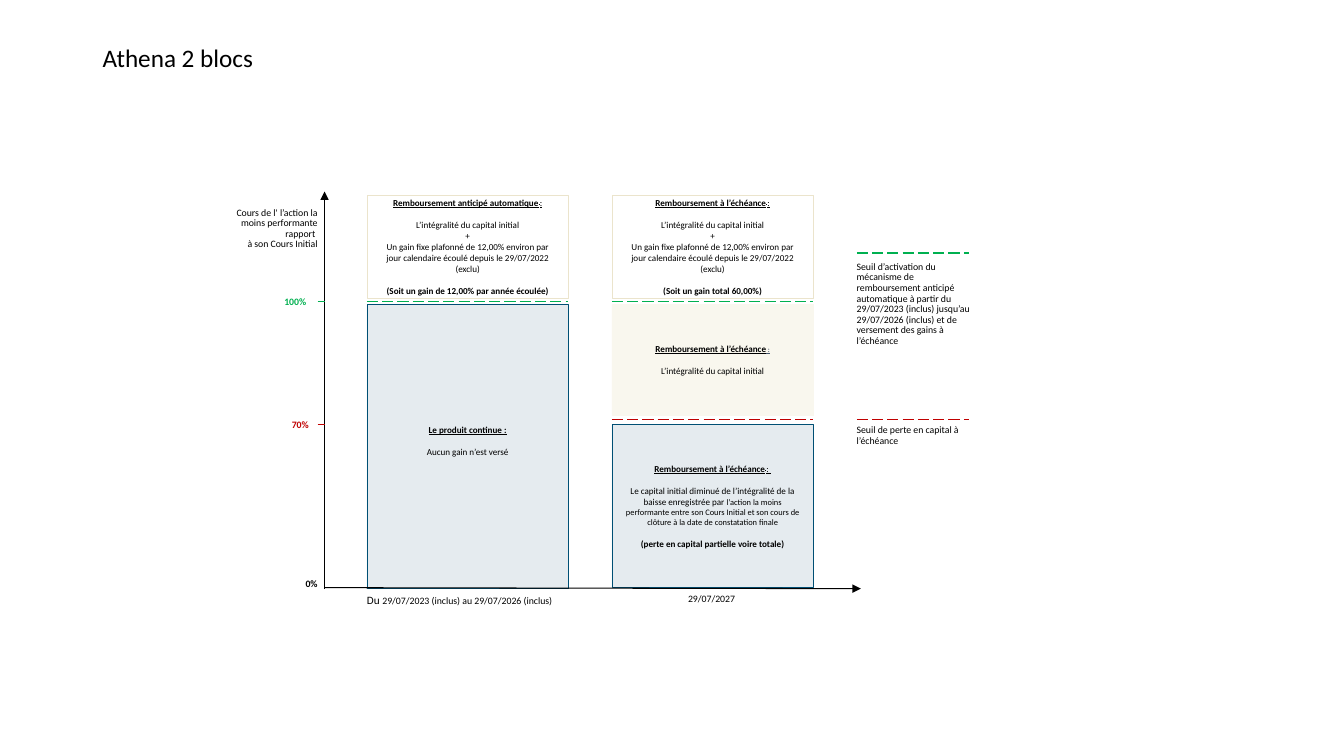
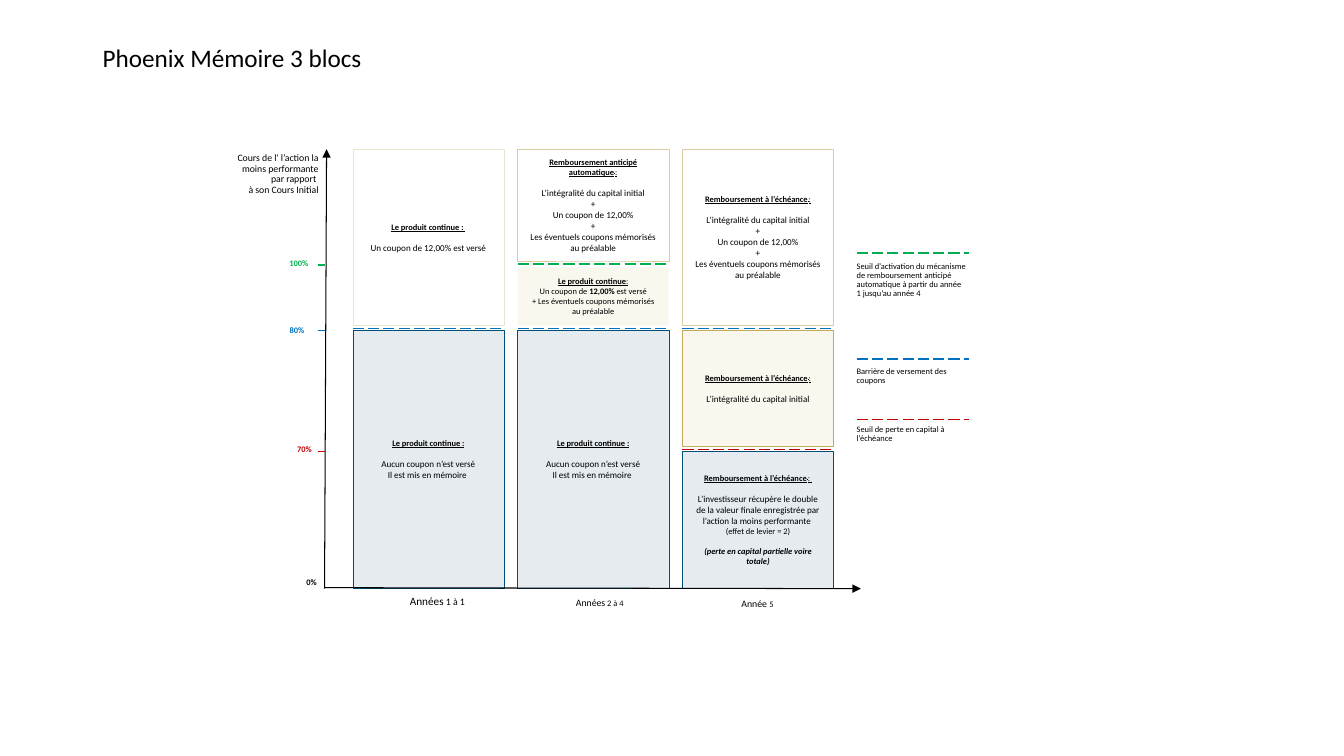
import lxml.etree
import pptx
import pptx.dml.color
import pptx.enum.dml
import pptx.enum.shapes
import pptx.enum.text
import pptx.oxml.ns
import pptx.util

BLACK, RED, GREEN, BLUE = "000000", "C00000", "00B050", "0070C0"
NAVY, MIST, CREAM, WHITE = "004F74", "E5EBEF", "F9F7EE", "FFFFFF"
SAND, KHAKI, OCHRE, SLATE = "EBE4CC", "D9CD9F", "C0AA5C", "44546A"
FONT = "Calibri"
ALIGN = {"l": pptx.enum.text.PP_ALIGN.LEFT, "c": pptx.enum.text.PP_ALIGN.CENTER,
         "r": pptx.enum.text.PP_ALIGN.RIGHT}
TIGHT = (0, 0.5, 0, 0.5)
ROOMY = (1.2, 0.5, 1.2, 0.5)
NORMAL = (1, 0.5, 1, 0.5)


def cells(n):
    """Length of n grid cells; the slide is 133.33 columns by 75 rows."""
    return pptx.util.Inches(n / 10)


def color(hex_code):
    return pptx.dml.color.RGBColor.from_string(hex_code)


def add_run(p, text, size=6.5, ink=BLACK, bold=False, italic=False, underline=False, raised=False):
    r = p.add_run()
    r.text = text
    f = r.font
    f.name, f.size, f.color.rgb = FONT, pptx.util.Pt(size), color(ink)
    f.bold, f.italic, f.underline = bold, italic, underline
    if raised:
        r._r.get_or_add_rPr().set("baseline", "30000")


def para(*runs, gap=0, **fmt):
    """Paragraph of texts or (text, format) pairs; fmt applies to all, gap is points before."""
    pairs = [(r, {}) if isinstance(r, str) else r for r in runs]
    return [(text, {**fmt, **own}) for text, own in pairs], gap


def heading(text, size=6.5, end=""):
    """Underlined bold heading followed by a light colon."""
    return para((text, {"bold": True}), (" ", {"raised": True}), ":",
                (end, {"bold": True}), size=size, underline=True)


def plain_heading(text, size=6.5):
    return para(text, size=size, bold=True, underline=True)


def spaced(*groups, size=6.5):
    """Joins groups of paragraphs, leaving one empty line's height between them."""
    out = list(groups[0])
    for (runs, _), *rest in groups[1:]:
        out += [(runs, size * 1.22), *rest]
    return out


class Deck:
    def __init__(self):
        self.prs = pptx.Presentation()
        self.prs.slide_width, self.prs.slide_height = cells(133.33), cells(75)

    def new_slide(self, title, label_size):
        self.s = self.prs.slides.add_slide(self.prs.slide_layouts[6])
        self.label_size = label_size
        self.text((9.2, 3.7, 62.2, 4), [para(title, size=18)])

    def fill_text(self, tf, paras, align, inset, spacing=None):
        tf.word_wrap = True
        tf.margin_left, tf.margin_top, tf.margin_right, tf.margin_bottom = map(cells, inset)
        for i, (runs, gap) in enumerate(paras):
            p = tf.add_paragraph() if i else tf.paragraphs[0]
            p.alignment = ALIGN[align]
            if gap:
                p.space_before = pptx.util.Pt(gap)
            if spacing:
                p.line_spacing = spacing
            for text, fmt in runs:
                if text:
                    add_run(p, text, **fmt)

    def text(self, at, paras, align="l", inset=NORMAL, spacing=None):
        tf = self.s.shapes.add_textbox(*map(cells, at)).text_frame
        self.fill_text(tf, paras, align, inset, spacing)

    def block(self, at, fill, edge, paras, inset=ROOMY):
        sp = self.s.shapes.add_shape(pptx.enum.shapes.MSO_SHAPE.RECTANGLE, *map(cells, at))
        sp.shadow.inherit = False
        sp.fill.solid()
        sp.fill.fore_color.rgb = color(fill)
        if edge:
            sp.line.color.rgb = color(edge)
            sp.line.width = pptx.util.Pt(0.25)
        else:
            sp.line.fill.background()
        sp.text_frame.vertical_anchor = pptx.enum.text.MSO_ANCHOR.MIDDLE
        self.fill_text(sp.text_frame, paras, "c", inset)

    def line(self, x1, y1, x2, y2, ink, width=1, dashed=False, arrow=False):
        c = self.s.shapes.add_connector(pptx.enum.shapes.MSO_CONNECTOR.STRAIGHT,
                                        *map(cells, (x1, y1, x2, y2)))
        c.line.color.rgb = color(ink)
        c.line.width = pptx.util.Pt(width)
        if dashed:
            c.line.dash_style = pptx.enum.dml.MSO_LINE.LONG_DASH
        qn = pptx.oxml.ns.qn
        if arrow:
            lxml.etree.SubElement(c.line._get_or_add_ln(), qn("a:tailEnd"), type="triangle")
        lxml.etree.SubElement(c._element.spPr, qn("a:effectLst"))

    def threshold(self, x, y, width, ink):
        self.line(x, y, x + width, y, ink, dashed=True)

    def axes(self, top, top_x, title_at, title):
        self.line(32.2, 58.4, top_x, top, BLACK, 0.75, arrow=True)
        self.line(32.2, 58.3, 85.4, 58.4, BLACK, 0.75, arrow=True)
        self.text((*title_at, 8.3, 4.2), [para(t, size=7) for t in (title, "à son Cours Initial")],
                  "r", TIGHT, 0.9)
        self.text((29.3, 56.8, 4.2, 2.2), [para("0%", size=self.label_size, bold=True)],
                  "c", (0, 0.5, 1, 0.5))

    def level(self, label, at, y, ink):
        """Tick on the vertical axis with its label."""
        self.line(31.5, y, 32.2, y, ink)
        self.text(at, [para(label, size=self.label_size, ink=ink, bold=True)], "c", TIGHT)

    def legend(self, y, text_y, text, ink, width=12.9):
        self.threshold(85, y, 11.1, ink)
        self.text((84, text_y, width, 3), [para(text, size=self.label_size)], spacing=0.9)

    def period(self, at, first, first_size, rest="", rest_size=6):
        runs = para((first, {"size": first_size}), (rest, {"size": rest_size}))
        self.text(at, [runs], "c")


CAPITAL = "L’intégralité du capital initial"
MATURITY = "Remboursement à l’échéance"
EARLY = "Remboursement anticipé automatique"
CONTINUES = "Le produit continue :"
LOSS = "(perte en capital partielle voire totale)"
LOSS_LEGEND = "Seuil de perte en capital à l’échéance"


def athena(d):
    d.new_slide("Athena 2 blocs", 7)
    left, right, width = 36.4, 60.7, 20
    gain = [para(t) for t in (
        CAPITAL, "+", "Un gain fixe plafonné de 12,00% environ par jour calendaire écoulé "
        "depuis le 29/07/2022 (exclu)")]
    for x, title, total in ((left, EARLY, "(Soit un gain de 12,00% par année écoulée)"),
                            (right, MATURITY, "(Soit un gain total 60,00%)")):
        d.block((x, 19.4, width, 10.2), WHITE, SAND,
                spaced([heading(title)], gain, [para(total, bold=True)]))
        d.threshold(x, 29.9, width, GREEN)
    d.block((left, 30.2, width, 28.2), MIST, NAVY,
            spaced([plain_heading(CONTINUES)], [para("Aucun gain n’est versé")]),
            (1.2, 0.5, 1.2, 1.6))
    d.block((right, 30.2, width, 11), CREAM, CREAM,
            spaced([para(MATURITY, (" :", {"size": 5, "ink": SLATE}), bold=True, underline=True)],
                   [para(CAPITAL)]), NORMAL)
    d.threshold(right, 41.6, width, RED)
    d.block((right, 42.1, width, 16.2), MIST, NAVY, spaced(
        [heading(MATURITY, end=" ")],
        [para("Le capital initial diminué de l’intégralité de la baisse enregistrée par ",
              ("l’action la moins performante entre son Cours Initial et son cours de clôture "
               "à la date de constatation finale", {"size": 6}))],
        [para(LOSS, bold=True)]))

    d.axes(19, 32.2, (23.2, 20.1), "Cours de l' l’action la moins performante rapport ")
    d.level("100% ", (27.7, 28.8, 3.4, 2.2), 29.9, GREEN)
    d.level("70% ", (28.2, 41, 3.4, 2.2), 42.1, RED)
    d.period((35.1, 58.4, 21.2, 2.4), "Du ", 8, "29/07/2023 (inclus) au 29/07/2026 (inclus) ", 7)
    d.period((right, 58.3, width, 2.2), "29/07/2027 ", 7)
    d.legend(25.1, 25.5, "Seuil d’activation du mécanisme de remboursement anticipé automatique "
             "à partir du 29/07/2023 (inclus) jusqu’au 29/07/2026 (inclus) et de versement "
             "des gains à l’échéance", GREEN, 13.5)
    d.legend(41.6, 41.7, LOSS_LEGEND, RED)


def phoenix(d):
    d.new_slide("Phoenix Mémoire 3 blocs", 6)
    width = 15
    first, middle, last = (35 + 16.35 * i for i in range(3))
    top, barrier, floor = 14.8, 32.8, 58.35

    def titled(title, *groups):
        return spaced([title], *groups, size=6)

    coupon = [para(t) for t in (CAPITAL, "+", "Un coupon de 12,00%", "+",
                                "Les éventuels coupons mémorisés au préalable")]
    missed = [para(t) for t in ("Aucun coupon n’est versé", "Il est mis en mémoire ")]
    for x in (first, middle):
        d.block((x, barrier, width, floor - barrier), MIST, NAVY,
                titled(plain_heading(CONTINUES, 6), missed))
    d.block((first, top, width, 17.5), WHITE, SAND,
            titled(plain_heading(CONTINUES + " ", 6), [para("Un coupon de 12,00% est versé")]))
    d.block((middle, top, width, 11.1), WHITE, KHAKI, titled(heading(EARLY, 6), coupon))
    d.block((middle, 26.5, width, 5.8), CREAM, None, [
        para(("Le produit continue", {"bold": True}), ":", size=6, underline=True),
        para("Un coupon de ", ("12,00%", {"bold": True}), " est versé", size=6),
        para("+ Les éventuels coupons mémorisés au préalable", size=6)])
    d.block((last, top, width, 17.5), WHITE, KHAKI, titled(heading(MATURITY, 6), coupon))
    d.block((last, barrier, width, 11.5), CREAM, OCHRE,
            titled(heading(MATURITY, 6), [para(CAPITAL)]))
    d.block((last, 44.8, width, floor - 44.8), MIST, NAVY, titled(
        heading(MATURITY, 6, " "),
        [para("L’investisseur récupère le double de la valeur finale enregistrée par "
              "l’action la moins performante "), para("(effet de levier = 2)", size=6)],
        [para(LOSS, size=6, bold=True, italic=True)]))
    for x, y, ink in ((first, 32.6, BLUE), (middle, 32.6, BLUE), (last, 32.6, BLUE),
                      (middle, 26.2, GREEN), (last, 44.6, RED)):
        d.threshold(x, y, width, ink)

    d.axes(top, 32.4, (23.3, 14.7), "Cours de l' l’action la moins performante par rapport ")
    d.level("100%", (28.4, 25.1, 2.5, 3), 26.3, GREEN)
    d.level("80%", (27.8, 31.8, 3.3, 3), 32.8, BLUE)
    d.level("70%", (28.5, 43.6, 3.4, 2), 44.8, RED)
    d.period((33.5, 58.5, 20, 2.4), "Années", 8, " 1 à 1 ", 7)
    d.period((51.8, 58.7, 15.4, 2.2), "Années", 7, " 2 à 4")
    d.period((70.3, 58.8, 9.7, 2.2), "Année ", 7, "5")
    d.legend(25.1, 25.5, "Seuil d’activation du mécanisme de remboursement anticipé automatique "
             "à partir du année 1 jusqu’au année 4", GREEN)
    d.legend(35.6, 35.9, "Barrière de versement des coupons", BLUE)
    d.legend(41.6, 41.7, LOSS_LEGEND, RED)


def main():
    d = Deck()
    athena(d)
    phoenix(d)
    d.prs.save("out.pptx")


if __name__ == "__main__":
    main()
